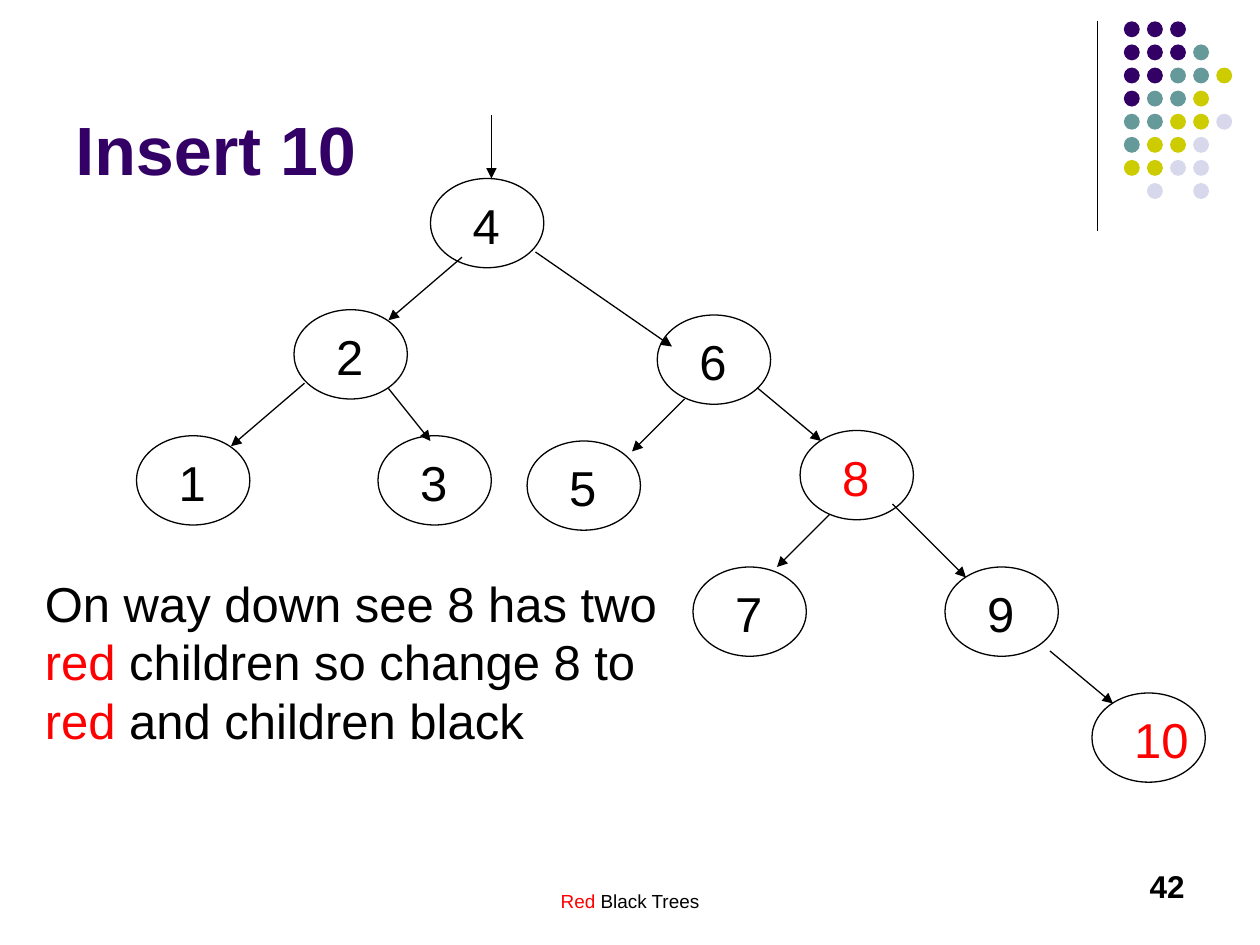
from lxml import etree
from pptx import Presentation
from pptx.dml.color import RGBColor
from pptx.enum.shapes import MSO_CONNECTOR, MSO_SHAPE
from pptx.enum.text import MSO_ANCHOR, PP_ALIGN
from pptx.oxml.ns import qn
from pptx.util import Pt

STRAIGHT = MSO_CONNECTOR.STRAIGHT
ELLIPSE = MSO_SHAPE.OVAL
LEFT, CENTER, RIGHT = PP_ALIGN.LEFT, PP_ALIGN.CENTER, PP_ALIGN.RIGHT
TOP, BOTTOM = MSO_ANCHOR.TOP, MSO_ANCHOR.BOTTOM

BLACK = RGBColor(0x00, 0x00, 0x00)
RED = RGBColor(0xFF, 0x00, 0x00)
PURPLE = RGBColor(0x33, 0x00, 0x66)
TEAL = RGBColor(0x66, 0x99, 0x99)
YELLOW = RGBColor(0xCC, 0xCC, 0x00)
LAVENDER = RGBColor(0xD8, 0xD8, 0xEC)

NODE_W, NODE_H = 64.8, 51
DOT_SIZE, DOT_PITCH = 9.1, 13.2
DOT_COLOURS = {"P": PURPLE, "T": TEAL, "Y": YELLOW, "L": LAVENDER}
DOT_ROWS = ["PPP", "PPPT", "PPTTY", "PTTY", "TTYYL", "TYYL", "YYLL", ".L.L"]

# Key, left, top, colour
NODES = [
    ("4", 246, 102, BLACK),
    ("2", 168, 177, BLACK),
    ("6", 375.6, 180, BLACK),
    ("1", 78, 249, BLACK),
    ("3", 216, 249, BLACK),
    ("5", 301.2, 252, BLACK),
    ("8", 457.2, 246, RED),
    ("7", 396, 324, BLACK),
    ("9", 540, 324, BLACK),
    ("10", 624, 396, RED),
]

# Start and end of each arrow from parent to child
EDGES = [
    (280.8, 66, 280.8, 102),
    (264, 147, 222, 183),
    (306, 144, 384, 198),
    (174, 219, 132, 255),
    (222, 222, 246, 252),
    (391.2, 228, 361.2, 258),
    (433.2, 222, 469.2, 252),
    (474, 294, 444, 324),
    (510, 288, 552, 330),
    (600, 372, 636, 402),
]


class TreeSlide:
    font = "Arial"
    line_width = 0.75

    def __init__(self, slide):
        self.shapes = slide.shapes

    def text(self, lines, left, top, width, height, *, size=28, bold=False,
             align=LEFT, anchor=TOP, wrap=True):
        """Each line is a list of (words, colour) runs."""
        frame = self.shapes.add_textbox(
            Pt(left), Pt(top), Pt(width), Pt(height)).text_frame
        frame.word_wrap = wrap
        frame.vertical_anchor = anchor
        paragraph = frame.paragraphs[0]
        paragraph.alignment = align
        for index, line in enumerate(lines):
            if index:
                paragraph.add_line_break()
            for words, colour in line:
                run = paragraph.add_run()
                run.text = words
                run.font.name = self.font
                run.font.size = Pt(size)
                run.font.bold = bold
                run.font.color.rgb = colour

    def ellipse(self, left, top, width, height, fill=None):
        oval = self.shapes.add_shape(
            ELLIPSE, Pt(left), Pt(top), Pt(width), Pt(height))
        oval.shadow.inherit = False
        if fill is None:
            oval.fill.background()
            oval.line.color.rgb = BLACK
            oval.line.width = Pt(self.line_width)
        else:
            oval.fill.solid()
            oval.fill.fore_color.rgb = fill
            oval.line.fill.background()

    def line(self, x1, y1, x2, y2, arrow=False):
        connector = self.shapes.add_connector(
            STRAIGHT, Pt(x1), Pt(y1), Pt(x2), Pt(y2))
        connector.line.color.rgb = BLACK
        connector.line.width = Pt(self.line_width)
        if arrow:
            etree.SubElement(connector.line._get_or_add_ln(),
                             qn("a:tailEnd"), type="triangle")
        etree.SubElement(connector._element.spPr, qn("a:effectLst"))

    def node(self, key, left, top, colour):
        self.ellipse(left, top, NODE_W, NODE_H)
        label_width = 15 + 15.6 * len(key)
        self.text([[(key, colour)]], left + 17, top + 6, label_width, 41,
                  wrap=False)


def main():
    prs = Presentation()
    prs.slide_width, prs.slide_height = Pt(720), Pt(540)
    slide = TreeSlide(prs.slides.add_slide(prs.slide_layouts[6]))

    # Corner decoration
    slide.line(627, 12, 627, 132)
    for row, marks in enumerate(DOT_ROWS):
        for column, mark in enumerate(marks):
            if mark in DOT_COLOURS:
                slide.ellipse(642.2 + column * DOT_PITCH,
                              12.2 + row * DOT_PITCH,
                              DOT_SIZE, DOT_SIZE, fill=DOT_COLOURS[mark])

    # Footer and slide number
    slide.text([[("Red", RED), (" Black Trees", BLACK)]], 246, 505, 228, 24,
               size=10.8, align=CENTER)
    slide.text([[("42", BLACK)]], 516, 492, 168, 36,
               size=18, bold=True, align=RIGHT)

    # Title
    slide.text([[("Insert 10", PURPLE)]], 36, 9.6, 594, 102,
               size=39, bold=True, anchor=BOTTOM)

    # Tree
    for node in NODES:
        slide.node(*node)
    for edge in EDGES:
        slide.line(*edge, arrow=True)

    # Explanation
    slide.text([
        [("On way down see 8 has two", BLACK)],
        [("red", RED), (" children so change 8 to", BLACK)],
        [("red", RED), (" and children black", BLACK)],
    ], 18.6, 324, 368, 108, wrap=False)

    prs.save("out.pptx")


if __name__ == "__main__":
    main()
